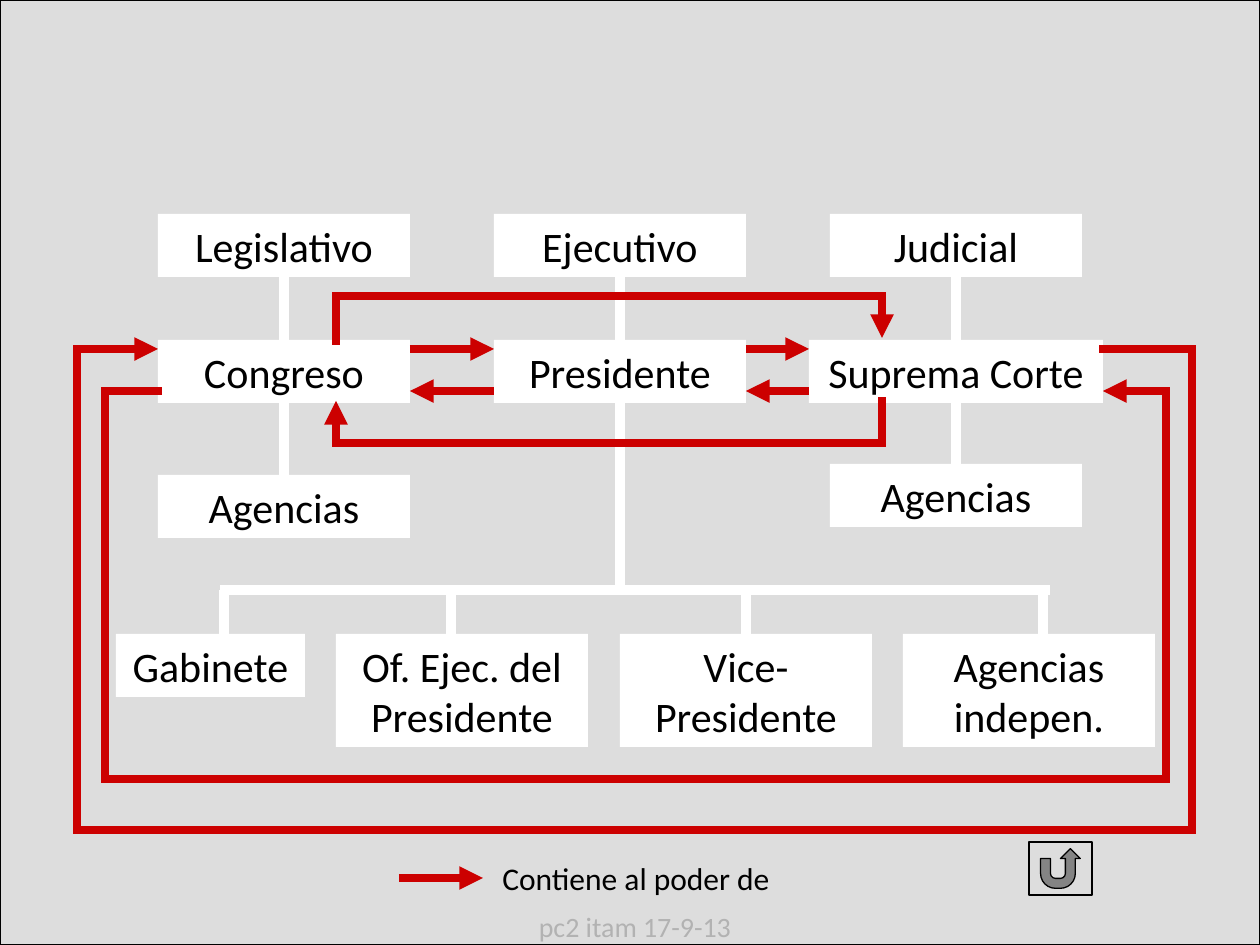
import itertools
from dataclasses import dataclass

import pptx
import pptx.dml.color
import pptx.enum.shapes
import pptx.enum.text
import pptx.oxml
import pptx.oxml.ns
import pptx.util

PX_PER_INCH = 126
WHITE = pptx.dml.color.RGBColor(0xFF, 0xFF, 0xFF)
BLACK = pptx.dml.color.RGBColor(0x00, 0x00, 0x00)
RED = pptx.dml.color.RGBColor(0xCC, 0x00, 0x00)
PAPER = pptx.dml.color.RGBColor(0xDD, 0xDD, 0xDD)
GRAY = pptx.dml.color.RGBColor(0xB2, 0xB2, 0xB2)
SHAPES = pptx.enum.shapes.MSO_SHAPE
TOP, BOTTOM = 0, 2
COLUMNS = [158, 494, 830]
BUS_Y = 590


@dataclass
class Box:
    key: str
    text: str
    x: int
    y: int
    w: int = 252
    h: int = 63


@dataclass
class Route:
    points: list[tuple[int, int]]


BOXES = [
    Box("legislativo", "Legislativo", COLUMNS[0], 214),
    Box("ejecutivo", "Ejecutivo", COLUMNS[1], 214),
    Box("judicial", "Judicial", COLUMNS[2], 214),
    Box("congreso", "Congreso", COLUMNS[0], 340),
    Box("presidente", "Presidente", COLUMNS[1], 340),
    Box("corte", "Suprema Corte", 809, 340, w=294),
    Box("agencias_congreso", "Agencias", COLUMNS[0], 475),
    Box("agencias_corte", "Agencias", COLUMNS[2], 464),
    Box("gabinete", "Gabinete", 116, 634, w=189),
    Box("oficina", "Of. Ejec. del Presidente", 336, 634, h=113),
    Box("vice", "Vice-Presidente", 620, 634, h=113),
    Box("independientes", "Agencias indepen.", 903, 634, h=113),
]

TRUNKS = [
    ("legislativo", "congreso"),
    ("ejecutivo", "presidente"),
    ("judicial", "corte"),
    ("congreso", "agencias_congreso"),
    ("corte", "agencias_corte"),
]

ROUTES = [
    Route([(410, 349), (494, 349)]),
    Route([(494, 391), (410, 391)]),
    Route([(746, 349), (809, 349)]),
    Route([(809, 391), (746, 391)]),
    Route([(1103, 349), (1192, 349), (1192, 830), (77, 830), (77, 349), (158, 349)]),
    Route([(158, 391), (105, 391), (105, 779), (1166, 779), (1166, 391), (1103, 391)]),
    Route([(336, 341), (336, 296), (882, 296), (882, 338)]),
    Route([(882, 401), (882, 443), (336, 443), (336, 401)]),
    Route([(399, 878), (483, 878)]),
]


def px(n: int) -> int:
    return round(n * pptx.util.Inches(1) / PX_PER_INCH)


def write(sp, text: str, size: int, color) -> None:
    tf = sp.text_frame
    tf.word_wrap = True
    tf.auto_size = pptx.enum.text.MSO_AUTO_SIZE.SHAPE_TO_FIT_TEXT
    tf.vertical_anchor = pptx.enum.text.MSO_ANCHOR.TOP
    p = tf.paragraphs[0]
    p.text = text
    p.alignment = pptx.enum.text.PP_ALIGN.CENTER
    p.font.name = "Calibri"
    p.font.size = pptx.util.Pt(size)
    p.font.color.rgb = color


def add_shape(s, kind, x: int, y: int, w: int, h: int, fill, outlined: bool = False):
    sp = s.shapes.add_shape(kind, px(x), px(y), px(w), px(h))
    sp.shadow.inherit = False
    sp.fill.solid()
    sp.fill.fore_color.rgb = fill
    if outlined:
        sp.line.color.rgb = BLACK
        sp.line.width = pptx.util.Pt(0.75)
    else:
        sp.line.fill.background()
    return sp


def add_label(s, text: str, x: int, y: int, w: int, h: int, size: int, color) -> None:
    write(s.shapes.add_textbox(px(x), px(y), px(w), px(h)), text, size, color)


def add_line(s, start: tuple[int, int], end: tuple[int, int], color, width: float):
    cxn = s.shapes.add_connector(
        pptx.enum.shapes.MSO_CONNECTOR.STRAIGHT, *map(px, start + end)
    )
    cxn.line.color.rgb = color
    cxn.line.width = pptx.util.Pt(width)
    sp_pr = cxn.line._get_or_add_ln().getparent()
    sp_pr.append(pptx.oxml.parse_xml(f"<a:effectLst {pptx.oxml.ns.nsdecls('a')}/>"))
    return cxn


def add_route(s, route: Route) -> None:
    segments = list(itertools.pairwise(route.points))
    for i, (start, end) in enumerate(segments, 1):
        ln = add_line(s, start, end, RED, 4.5).line._get_or_add_ln()
        if i == len(segments):
            ln.append(pptx.oxml.parse_xml(
                f'<a:tailEnd {pptx.oxml.ns.nsdecls("a")} type="triangle"/>'
            ))
        else:
            ln.set("cap", "sq")


def add_tree(s) -> None:
    nodes = {}
    for b in BOXES:
        nodes[b.key] = add_shape(s, SHAPES.RECTANGLE, b.x, b.y, b.w, b.h, WHITE)
        write(nodes[b.key], b.text, 24, BLACK)
    for upper, lower in TRUNKS:
        cxn = add_line(s, (0, 0), (0, 0), WHITE, 6)
        cxn.begin_connect(nodes[upper], BOTTOM)
        cxn.end_connect(nodes[lower], TOP)
    stem = add_line(s, (620, 403), (620, BUS_Y), WHITE, 6)
    stem.begin_connect(nodes["presidente"], BOTTOM)
    add_line(s, (220, BUS_Y), (1050, BUS_Y), WHITE, 6)
    for x in (224, 451, 1043):
        add_line(s, (x, BUS_Y), (x, 640), WHITE, 6)
    branch = add_line(s, (746, BUS_Y), (746, 634), WHITE, 6)
    branch.end_connect(nodes["vice"], TOP)


def main() -> None:
    prs = pptx.Presentation()
    prs.slide_width, prs.slide_height = px(1260), px(945)
    s = prs.slides.add_slide(prs.slide_layouts[6])
    add_shape(s, SHAPES.RECTANGLE, 0, 0, 1260, 945, PAPER, outlined=True)
    add_label(s, "pc2 itam 17-9-13", 504, 903, 262, 47, 16, GRAY)
    add_tree(s)
    for route in ROUTES:
        add_route(s, route)
    add_label(s, "Contiene al poder de", 431, 853, 410, 50, 18, BLACK)
    add_shape(s, SHAPES.ACTION_BUTTON_RETURN, 1029, 842, 63, 53, PAPER, outlined=True)
    prs.save("out.pptx")


if __name__ == "__main__":
    main()
